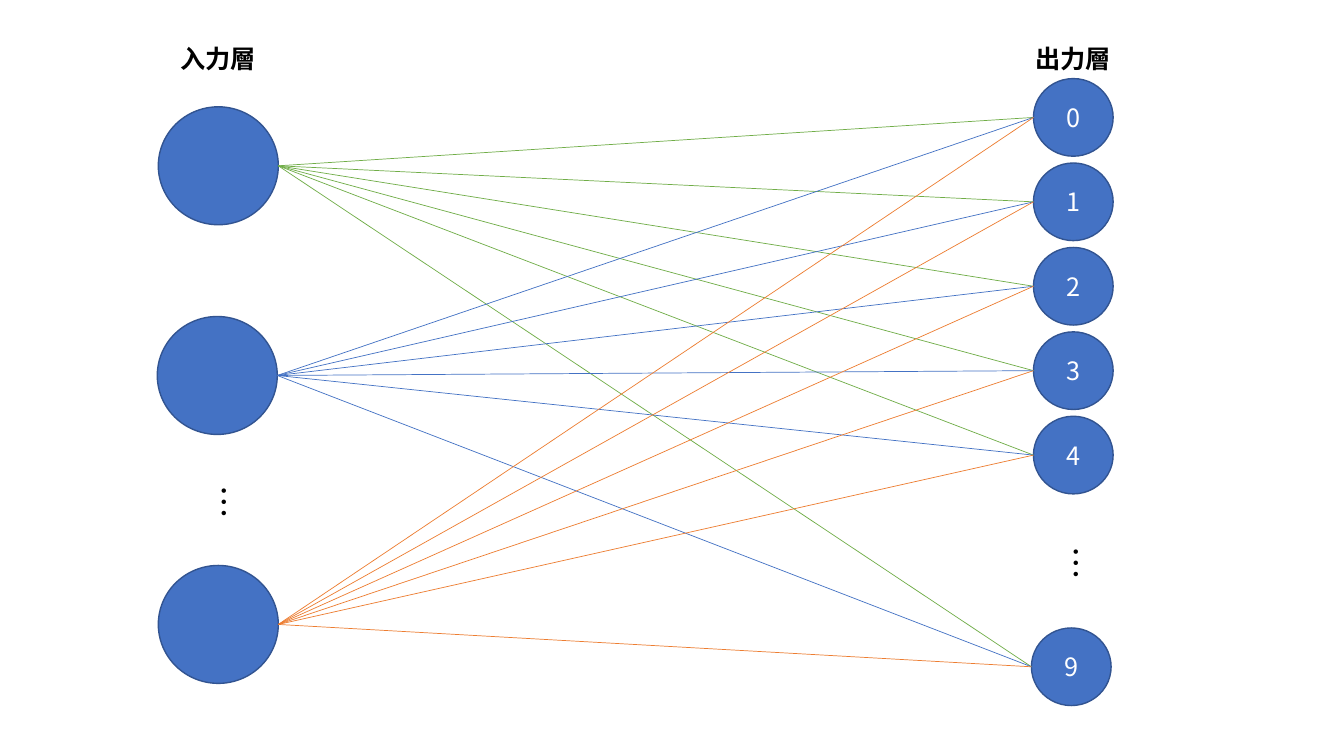
from lxml.etree import SubElement
from pptx import Presentation
from pptx.dml.color import RGBColor
from pptx.enum.shapes import MSO_CONNECTOR as Connector, MSO_SHAPE as Shape
from pptx.enum.text import MSO_ANCHOR as Anchor, MSO_AUTO_SIZE as AutoSize, PP_ALIGN as Align
from pptx.oxml.ns import qn
from pptx.util import Inches, Pt

FONT = "Noto Sans CJK JP"
BLUE = "4472C4"
INPUT_WIDTH, INPUT_HEIGHT = 1.19, 1.17
OUTPUT_WIDTH, OUTPUT_HEIGHT = 0.79, 0.77
INPUT_NODES = [(1.57, 1.06, "70AD47"), (1.56, 3.14, BLUE), (1.57, 5.61, "ED7D31")]
OUTPUT_NODES = [(10.25, 0.78 + 0.8375 * digit, str(digit)) for digit in range(5)]
OUTPUT_NODES.append((10.23, 6.23, "9"))


def color(value):
    return RGBColor.from_string(value)


def write_text(shape, text, size, font_color, bold=False):
    paragraph = shape.text_frame.paragraphs[0]
    paragraph.text = text
    paragraph.alignment = Align.CENTER
    font = paragraph.font
    font.size = Pt(size)
    font.bold = bold
    font.color.rgb = color(font_color)
    font.name = FONT
    defaults = paragraph._p.pPr.find(qn("a:defRPr"))
    SubElement(defaults, qn("a:ea")).set("typeface", FONT)


def add_node(slide, left, top, width, height, label=""):
    shape = slide.shapes.add_shape(
        Shape.OVAL, Inches(left), Inches(top), Inches(width), Inches(height))
    shape.shadow.inherit = False
    shape.fill.solid()
    shape.fill.fore_color.rgb = color(BLUE)
    shape.line.color.rgb = color("325491")
    shape.line.width = Pt(1)
    if label:
        shape.text_frame.vertical_anchor = Anchor.MIDDLE
        write_text(shape, label, 18, "FFFFFF")


def add_edge(slide, start, end, line_color):
    connector = slide.shapes.add_connector(
        Connector.STRAIGHT, *[Inches(value) for value in (*start, *end)])
    connector.line.color.rgb = color(line_color)
    connector.line.width = Pt(0.5)
    SubElement(connector._element.spPr, qn("a:effectLst"))


def add_text(slide, left, top, width, height, text, size, bold=False, vertical=False):
    box = slide.shapes.add_textbox(
        Inches(left), Inches(top), Inches(width), Inches(height))
    frame = box.text_frame
    frame.word_wrap = vertical
    frame.auto_size = AutoSize.SHAPE_TO_FIT_TEXT
    if vertical:
        frame._txBody.bodyPr.set("vert", "eaVert")
    write_text(box, text, size, "000000", bold)


def main():
    presentation = Presentation()
    presentation.slide_width = Inches(13.33)
    presentation.slide_height = Inches(7.5)
    slide = presentation.slides.add_slide(presentation.slide_layouts[6])

    for left, top, _ in INPUT_NODES:
        add_node(slide, left, top, INPUT_WIDTH, INPUT_HEIGHT)
    for left, top, label in OUTPUT_NODES:
        add_node(slide, left, top, OUTPUT_WIDTH, OUTPUT_HEIGHT, label)

    for input_left, input_top, line_color in INPUT_NODES:
        start = (input_left + INPUT_WIDTH, input_top + INPUT_HEIGHT / 2)
        for output_left, output_top, _ in OUTPUT_NODES:
            end = (output_left, output_top + OUTPUT_HEIGHT / 2)
            add_edge(slide, start, end, line_color)

    for left, title in [(1.68, "入力層"), (10.16, "出力層")]:
        add_text(slide, left, 0.38, 0.97, 0.4, title, 18, bold=True)
    for left, top in [(1.87, 4.72), (10.32, 5.32)]:
        add_text(slide, left, top, 0.61, 0.49, "…", 24, vertical=True)

    presentation.save("out.pptx")


if __name__ == "__main__":
    main()
